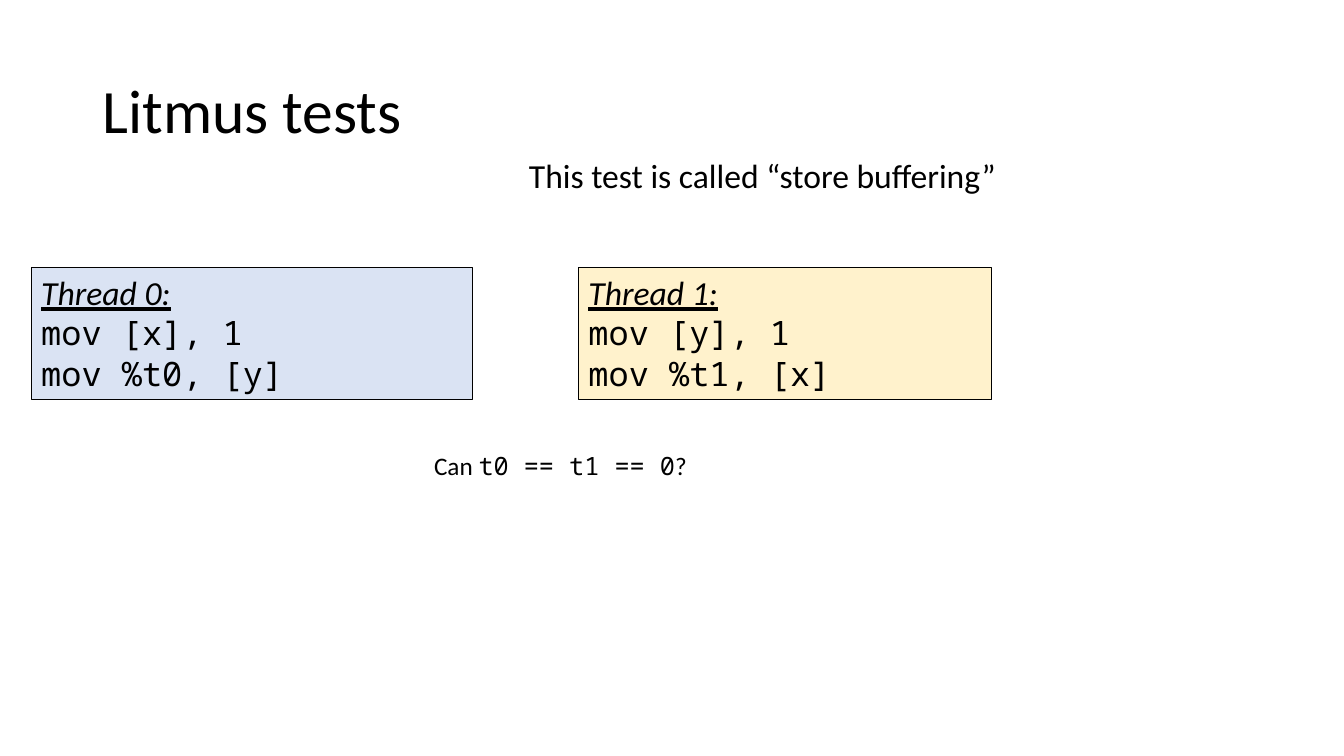
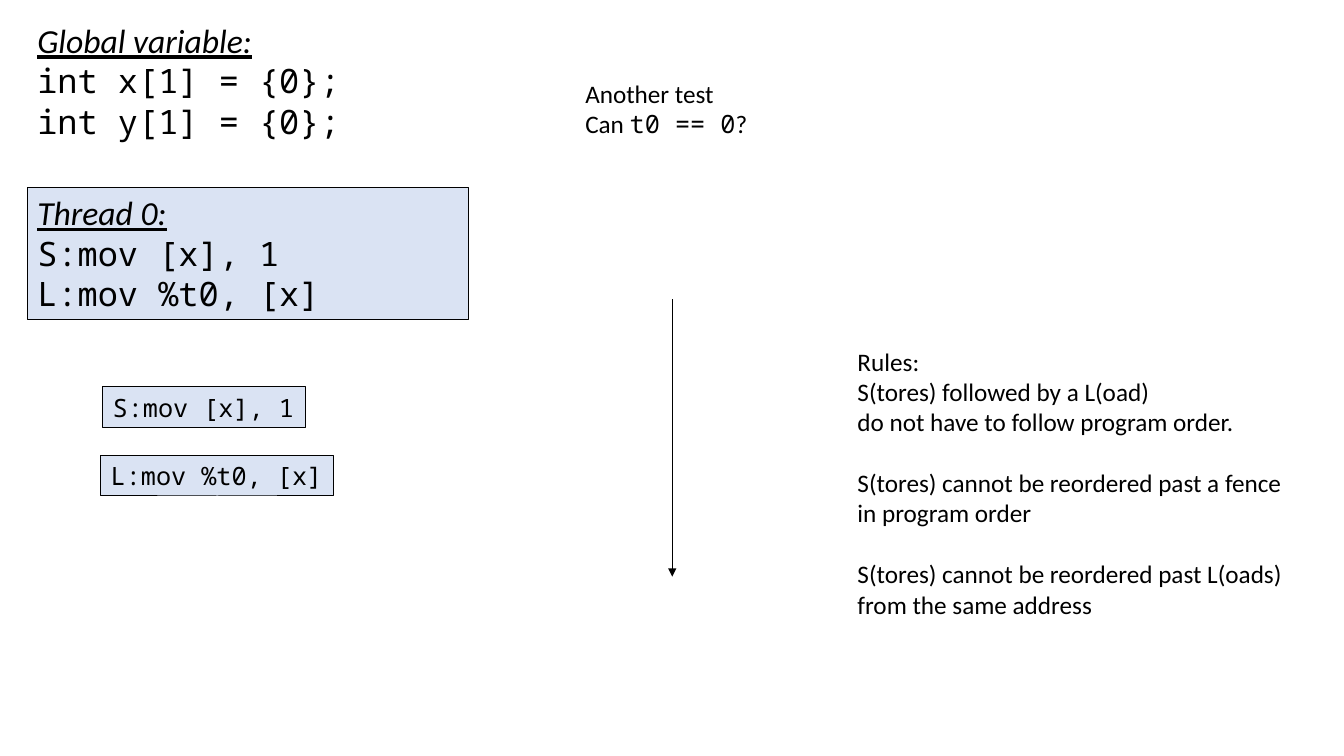
from lxml.etree import SubElement
from pptx import Presentation
from pptx.dml.color import RGBColor
from pptx.enum.shapes import MSO_CONNECTOR, MSO_SHAPE
from pptx.enum.text import MSO_ANCHOR, MSO_AUTO_SIZE, PP_ALIGN
from pptx.oxml.ns import qn
from pptx.util import Cm, Pt

BLACK = RGBColor(0x00, 0x00, 0x00)
BLUE = RGBColor(0xDA, 0xE3, 0xF3)
YELLOW = RGBColor(0xFF, 0xF2, 0xCC)
TEXT_FONT, CODE_FONT = "Calibri", "Noto Sans Mono"
LARGE, SMALL = 24, 18
TITLE_ONLY, BLANK = 5, 6
THREAD_WIDTH, THREAD_HEIGHT, LINE_HEIGHT = 11.13, 3.33, 1.02


class Deck:
    """Holds the style and the current slide; lengths are in centimetres."""

    def __init__(self):
        self.presentation = Presentation()
        self.presentation.slide_width = Cm(33.87)
        self.presentation.slide_height = Cm(19.05)
        self.slide = None

    def add_slide(self, title=None):
        layout = self.presentation.slide_layouts[BLANK if title is None else TITLE_ONLY]
        self.slide = self.presentation.slides.add_slide(layout)
        if title is not None:
            shape = self.slide.shapes.title
            shape.left, shape.top, shape.width, shape.height = Cm(2.33), Cm(1.02), Cm(29.21), Cm(3.68)
            frame = shape.text_frame
            frame.vertical_anchor = MSO_ANCHOR.MIDDLE
            paragraph = frame.paragraphs[0]
            paragraph.alignment = PP_ALIGN.LEFT
            paragraph.line_spacing = 0.9
            self.set_text(paragraph, title, 44)

    def set_text(self, paragraph, text, size, heading=False):
        """Set text in which backticks enclose code and newlines break lines."""
        pieces = text.split("`")
        all_code = len(pieces) == 3 and not pieces[0] and not pieces[2]
        font = paragraph.font
        font.name = CODE_FONT if all_code else TEXT_FONT
        font.size = Pt(size)
        font.color.rgb = BLACK
        if heading:
            font.italic = font.underline = True
        for index, piece in enumerate(pieces):
            for number, line in enumerate(piece.split("\n")):
                if number:
                    paragraph.add_line_break()
                if line:
                    run = paragraph.add_run()
                    run.text = line
                    if index % 2 and not all_code:
                        run.font.name = CODE_FONT

    def text(self, left, top, width, height, lines, size=SMALL,
             fill=None, wrap=False, heading=False, gap=0):
        """Add a text box, or a filled and outlined box when a fill is given."""
        place = Cm(left), Cm(top), Cm(width), Cm(height)
        if fill is None:
            shape = self.slide.shapes.add_textbox(*place)
        else:
            shape = self.slide.shapes.add_shape(MSO_SHAPE.RECTANGLE, *place)
            shape.shadow.inherit = False
            shape.fill.solid()
            shape.fill.fore_color.rgb = fill
            shape.line.color.rgb = BLACK
            shape.line.width = Pt(0.75)
        frame = shape.text_frame
        frame.word_wrap = wrap
        frame.auto_size = MSO_AUTO_SIZE.SHAPE_TO_FIT_TEXT
        frame.vertical_anchor = MSO_ANCHOR.TOP
        for index, line in enumerate(lines):
            paragraph = frame.add_paragraph() if index else frame.paragraphs[0]
            paragraph.alignment = PP_ALIGN.LEFT
            if gap and index:
                paragraph.space_before = Pt(gap)
            self.set_text(paragraph, line, size, heading and index == 0)

    def listing(self, left, top, heading, code, fill=None, width=THREAD_WIDTH):
        """Add a heading with lines of code below it."""
        lines = [heading] + [f"`{line}`" for line in code]
        self.text(left, top, width, THREAD_HEIGHT, lines, LARGE, fill, wrap=True, heading=True)

    def down_arrow(self, x, top, bottom):
        connector = self.slide.shapes.add_connector(
            MSO_CONNECTOR.STRAIGHT, Cm(x), Cm(top), Cm(x), Cm(bottom))
        connector.line.color.rgb = BLACK
        connector.line.width = Pt(0.5)
        properties = connector._element.spPr
        SubElement(properties.find(qn("a:ln")), qn("a:tailEnd"), type="triangle")
        SubElement(properties, qn("a:effectLst"))


def add_store_buffering(deck):
    deck.add_slide("Litmus tests")
    # Two threads
    deck.listing(0.79, 6.73, "Thread 0:", ["mov [x], 1", "mov %t0, [y]"], BLUE)
    deck.listing(14.58, 6.73, "Thread 1:", ["mov [y], 1", "mov %t1, [x]"], YELLOW, width=10.41)
    # Question and name of the test
    deck.text(10.69, 11.23, 6.93, LINE_HEIGHT, ["Can `t0 == t1 == 0`?"])
    deck.text(13.08, 3.78, 12.4, 1.27, ["This test is called “store buffering”"], LARGE)


def add_same_address(deck):
    deck.add_slide()
    # Program
    store, load = "S:mov [x], 1", "L:mov %t0, [x]"
    deck.listing(0.69, 4.72, "Thread 0:", [store, load], BLUE)
    deck.listing(0.69, 0.38, "Global variable:", ["int x[1] = {0};", "int y[1] = {0};"], width=12.14)
    # Question, order of execution and its steps
    deck.text(14.5, 1.85, 4.62, 1.8, ["Another test", "Can `t0 == 0`?"])
    deck.down_arrow(16.94, 7.54, 14.53)
    deck.text(2.59, 9.75, 5.11, LINE_HEIGHT, [f"`{store}`"], fill=BLUE)
    deck.text(2.54, 11.48, 5.87, LINE_HEIGHT, [f"`{load}`"], fill=BLUE)
    # Rules, with a line's height between them
    deck.text(21.36, 8.59, 11.33, 7.19, [
        "Rules:\nS(tores) followed by a L(oad)\ndo not have to follow program order.",
        "S(tores) cannot be reordered past a fence\nin program order",
        "S(tores) cannot be reordered past L(oads)\nfrom the same address",
    ], gap=22)


def main():
    deck = Deck()
    add_store_buffering(deck)
    add_same_address(deck)
    deck.presentation.save("out.pptx")


if __name__ == "__main__":
    main()
